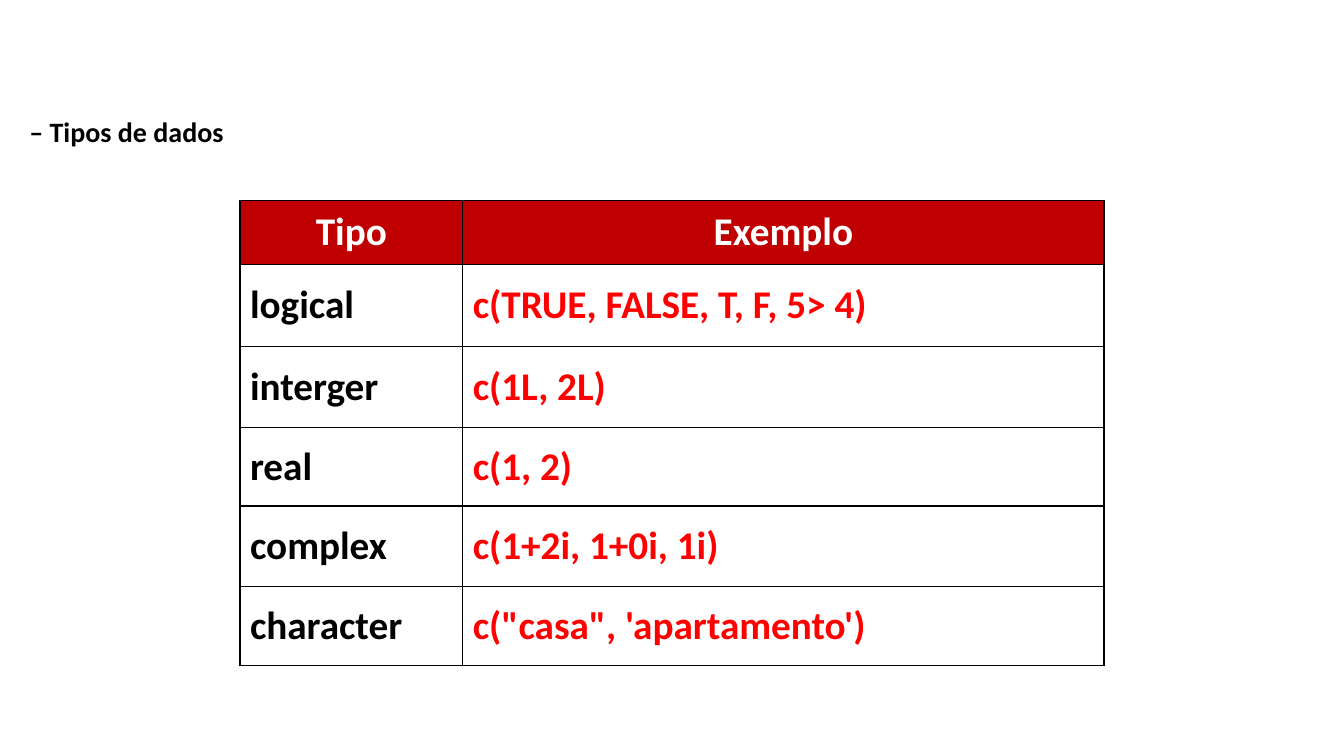
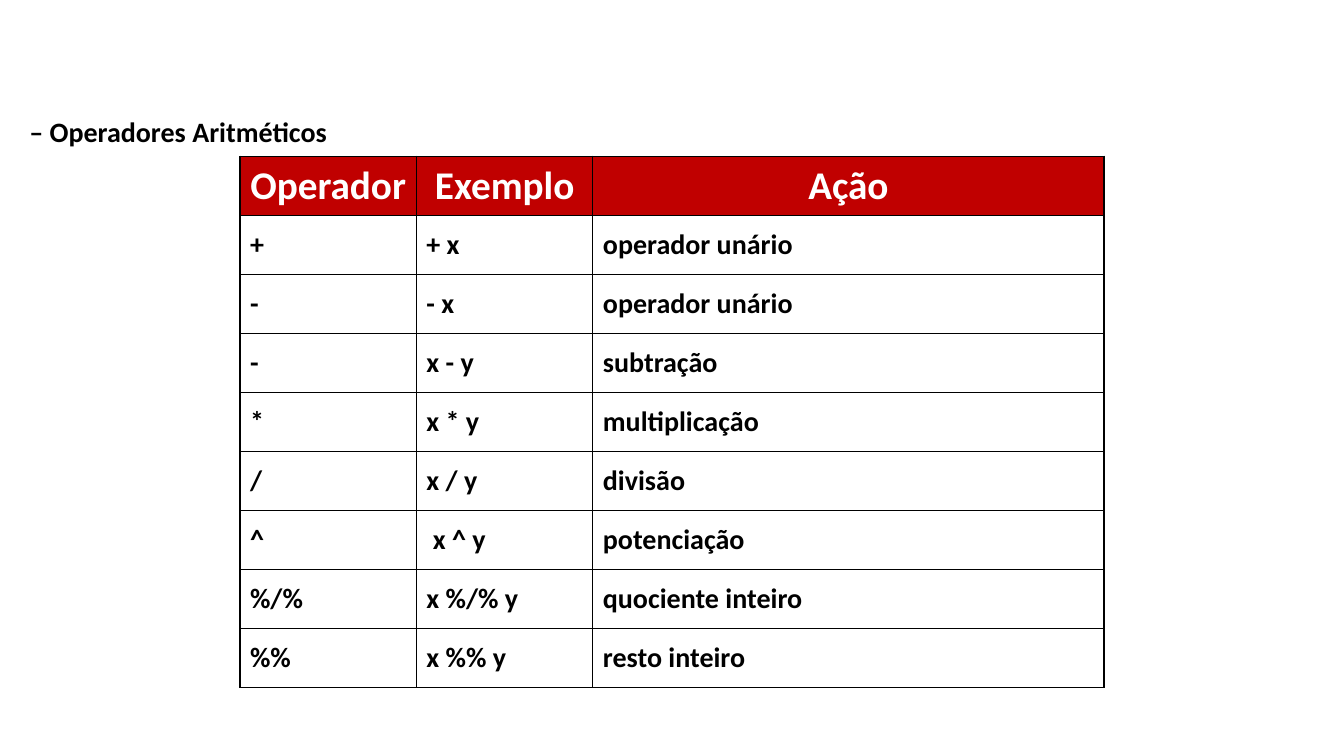
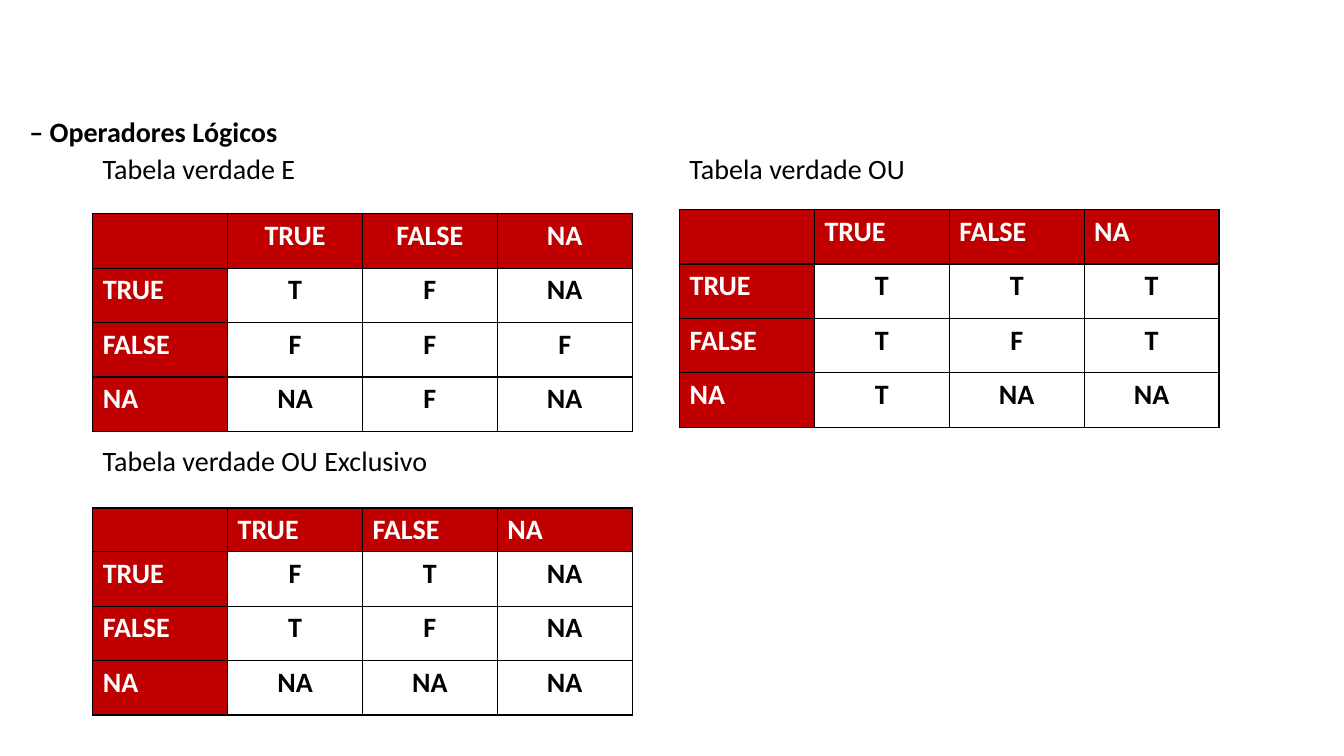
from pptx import Presentation
from pptx.dml.color import RGBColor
from pptx.enum.text import MSO_ANCHOR, MSO_AUTO_SIZE, PP_ALIGN
from pptx.oxml import parse_xml
from pptx.oxml.ns import nsdecls
from pptx.util import Inches, Pt

RED = RGBColor(0xC0, 0x00, 0x00)
CODE = RGBColor(0xFF, 0x00, 0x00)
BLACK = RGBColor(0x00, 0x00, 0x00)
WHITE = RGBColor(0xFF, 0xFF, 0xFF)

FONT = "Calibri"
LEFT, MID = PP_ALIGN.LEFT, PP_ALIGN.CENTER
SMALL, LARGE = Pt(20), Pt(28)
TITLE = (0.19, 1.05, 11.5, 0.5)
WIDE = (2.38, 8.57)  # left and width of the single tables
LABELS = ["TRUE", "FALSE", "NA"]
LABEL_H = 0.44
ROW_H = 0.54

TYPES = [
    ["Tipo", "Exemplo"],
    ["logical", "c(TRUE, FALSE, T, F, 5> 4)"],
    ["interger", "c(1L, 2L)"],
    ["real", "c(1, 2)"],
    ["complex", "c(1+2i, 1+0i, 1i)"],
    ["character", "c(\"casa\", 'apartamento')"],
]
MATHS = [
    ["Operador", "Exemplo", "Ação"],
    ["+", "+ x", "operador unário"],
    ["-", "- x", "operador unário"],
    ["-", "x - y", "subtração"],
    ["*", "x * y", "multiplicação"],
    ["/", "x / y", "divisão"],
    ["^", " x ^ y", "potenciação"],
    ["%/%", "x %/% y", "quociente inteiro"],
    ["%%", "x %% y", "resto inteiro"],
]


def box(left, top, width, height):
    return [Inches(n) for n in (left, top, width, height)]


def write(frame, text, align=LEFT, color=BLACK, **form):
    """Put one styled paragraph in a text frame."""
    para = frame.paragraphs[0]
    para.alignment = align
    run = para.add_run()
    run.text = text
    for key, value in {"name": FONT, "size": SMALL, "bold": True, **form}.items():
        setattr(run.font, key, value)
    run.font.color.rgb = color


def border(cell):
    """Draw a thin black line on all four sides."""
    props = cell._tc.get_or_add_tcPr()
    for spot, side in enumerate("LRTB"):
        props.insert(spot, parse_xml(
            f'<a:ln{side} {nsdecls("a")} w="12700"><a:solidFill>'
            f'<a:srgbClr val="{BLACK}"/></a:solidFill></a:ln{side}>'))


def grid(slide, left, top, cols, rows, data, style, anchor=MSO_ANCHOR.MIDDLE):
    """Add a table; style(row, col) gives a fill and the text format."""
    area = box(left, top, sum(cols), sum(rows))
    table = slide.shapes.add_table(len(rows), len(cols), *area).table
    table.horz_banding = False
    for col, width in zip(table.columns, cols):
        col.width = Inches(width)
    for row, height in zip(table.rows, rows):
        row.height = Inches(height)
    for r, line in enumerate(data):
        for c, text in enumerate(line):
            cell = table.cell(r, c)
            fill, form = style(r, c)
            cell.fill.solid()
            cell.fill.fore_color.rgb = fill
            cell.vertical_anchor = anchor
            border(cell)
            if text:
                write(cell.text_frame, text, **form)


def add_page(deck, text):
    slide = deck.slides.add_slide(deck.slide_layouts[5])
    title = slide.shapes.title
    title.left, title.top, title.width, title.height = box(*TITLE)
    frame = title.text_frame
    frame.auto_size = MSO_AUTO_SIZE.NONE
    frame.vertical_anchor = MSO_ANCHOR.MIDDLE
    write(frame, text)
    return slide


def list_page(deck, title, top, first, rows, data, size, last):
    """A page with one wide table; last colours its final column."""
    left, width = WIDE
    cols = first + [width - sum(first)]

    def style(r, c):
        if r == 0:
            return RED, {"align": MID, "color": WHITE, "size": LARGE}
        return WHITE, {"size": size, "color": last if c == len(first) else BLACK}

    grid(add_page(deck, title), left, top, cols, rows, data, style)


def truth(slide, left, top, gap, name, values, align=LEFT, head=ROW_H):
    """A caption with its truth table, gap below the caption's top."""
    frame = slide.shapes.add_textbox(*box(left, top, 5.34, LABEL_H)).text_frame
    frame.word_wrap = True
    write(frame, f"Tabela verdade {name}", bold=False)
    data = [[""] + LABELS]
    data += [[label] + line.split() for label, line in zip(LABELS, values)]

    def style(r, c):
        if r and c:
            return WHITE, {"align": MID}
        return RED, {"align": LEFT if r else align, "color": WHITE}

    grid(slide, left, top + gap, [5.35 / 4] * 4, [head] + [ROW_H] * 3,
         data, style, MSO_ANCHOR.TOP)


def logic_page(deck):
    slide = add_page(deck, "– Operadores Lógicos")
    near, far, top, low = 0.92, 6.74, 1.45, 4.35
    truth(slide, near, top, 0.67, "E", ["T F NA", "F F F", "NA F NA"], MID)
    truth(slide, far, top, 0.63, "OU", ["T T T", "T F T", "T NA NA"])
    truth(slide, near, low, 0.69, "OU Exclusivo",
          ["F T NA", "T F NA", "NA NA NA"], head=0.43)


def main():
    deck = Presentation()
    deck.slide_width, deck.slide_height = Inches(13.33), Inches(7.5)
    list_page(deck, "– Tipos de dados", 1.99, [2.21],
              [0.63, 0.82, 0.8, 0.78, 0.8, 0.78], TYPES, LARGE, CODE)
    list_page(deck, "– Operadores Aritméticos", 1.55, [1.75, 1.75],
              [5.27 / len(MATHS)] * len(MATHS), MATHS, SMALL, BLACK)
    logic_page(deck)
    deck.save("out.pptx")


if __name__ == "__main__":
    main()
